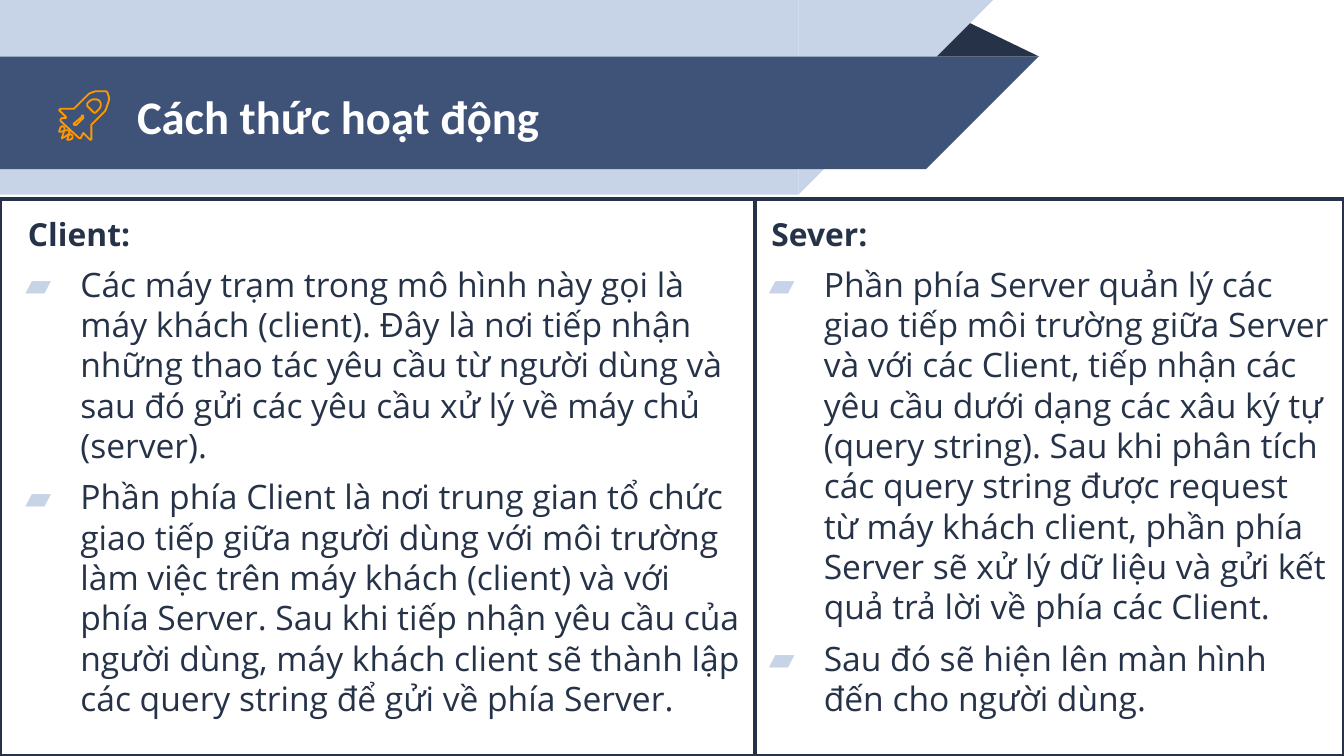
from dataclasses import dataclass

from lxml.etree import SubElement
from pptx import Presentation
from pptx.dml.color import RGBColor
from pptx.enum.shapes import MSO_SHAPE as Preset
from pptx.enum.text import MSO_ANCHOR as Anchor, MSO_AUTO_SIZE as AutoSize, PP_ALIGN as Align
from pptx.oxml.ns import qn
from pptx.shapes.autoshape import Shape
from pptx.slide import Slide
from pptx.util import Cm, Pt


@dataclass(frozen=True)
class Theme:
    navy: str = "263248"
    blue: str = "3F5378"
    pale: str = "C7D3E6"
    orange: str = "FF9800"
    white: str = "FFFFFF"
    title_font: str = "Calibri"
    body_font: str = "Open Sans"
    title_size: float = 25
    heading_size: float = 17
    body_size: float = 18
    leading: float = 21.6
    gap: float = 6
    border: float = 2
    icon_line: float = 1


@dataclass(frozen=True)
class Ribbon:
    top: float
    width: float
    height: float
    color: str


@dataclass(frozen=True)
class Panel:
    left: float
    width: float
    heading: str
    points: tuple[str, ...]


@dataclass(frozen=True)
class Outline:
    contours: tuple[tuple[tuple[int, int], ...], ...]
    dx: int = 0
    dy: int = 0


THEME = Theme()
SLIDE_WIDTH, SLIDE_HEIGHT = 25.4, 14.29
PANEL_TOP = 3.76
ICON_UNIT = Cm(0.0254)
FRAME = {
    "margin_left": Cm(0.25), "margin_right": Cm(0.25),
    "margin_top": Cm(0.25), "margin_bottom": Cm(0.25),
    "word_wrap": True, "auto_size": AutoSize.NONE,
}

RIBBONS = (
    Ribbon(0, 15.09, 3.68, THEME.pale),
    Ribbon(1.07, 17.5, 2.13, THEME.blue),
)

PANELS = (
    Panel(14.05, 11.35, "Sever:", (
        "Phần phía Server quản lý các giao tiếp môi trường giữa Server và với các Client, "
        "tiếp nhận các yêu cầu dưới dạng các xâu ký tự (query string). Sau khi phân tích các "
        "query string được request từ máy khách client, phần phía Server sẽ xử lý dữ liệu và "
        "gửi kết quả trả lời về phía các Client.",
        "Sau đó sẽ hiện lên màn hình đến cho người dùng.",
    )),
    Panel(0, 14.27, "Client:", (
        "Các máy trạm trong mô hình này gọi là máy khách (client). Đây là nơi tiếp nhận những "
        "thao tác yêu cầu từ người dùng và sau đó gửi các yêu cầu xử lý về máy chủ (server).",
        "Phần phía Client là nơi trung gian tổ chức giao tiếp giữa người dùng với môi trường "
        "làm việc trên máy khách (client) và với phía Server. Sau khi tiếp nhận yêu cầu của "
        "người dùng, máy khách client sẽ thành lập các query string để gửi về phía Server.",
    )),
)

HULL = (
    (68, 104), (68, 93), (78, 83), (79, 81), (80, 78), (81, 75), (81, 72), (80, 69),
    (79, 68), (75, 68), (71, 68), (68, 69), (66, 70), (55, 81), (45, 81), (44, 82),
    (49, 87), (49, 88), (46, 88), (45, 89), (45, 90), (59, 103), (60, 103), (62, 99),
    (67, 104),
)
FIN = ((57, 93), (56, 93), (55, 93), (55, 92), (61, 87), (61, 86), (62, 86), (62, 88))
WINDOW = (
    (72, 83), (71, 84), (70, 84), (69, 83), (65, 79), (65, 77), (67, 75), (69, 74),
    (72, 74), (74, 75), (75, 77), (75, 79), (74, 81),
)
MAIN_FLAME = ((51, 97), (49, 97), (48, 97), (47, 100), (46, 103), (48, 102), (51, 100), (52, 98))
SIDE_FLAME = ((54, 101), (53, 100), (52, 100), (51, 101), (50, 104), (52, 104), (54, 103))
ROCKET = (
    Outline((HULL, FIN, WINDOW)),
    Outline((MAIN_FLAME,)),
    Outline((SIDE_FLAME,)),
    Outline((SIDE_FLAME,), -6, -6),
)


def rgb(color: str) -> RGBColor:
    return RGBColor.from_string(color)


def apply_format(target: object, values: dict) -> None:
    for attribute, value in values.items():
        setattr(target, attribute, value)


def add_block(slide: Slide, preset: Preset, left: float, top: float,
              width: float, height: float, color: str) -> Shape:
    block = slide.shapes.add_shape(preset, Cm(left), Cm(top), Cm(width), Cm(height))
    block.shadow.inherit = False
    block.fill.solid()
    block.fill.fore_color.rgb = rgb(color)
    block.line.fill.background()
    return block


def add_ribbon(slide: Slide, ribbon: Ribbon) -> None:
    add_block(slide, Preset.RECTANGLE, 0, ribbon.top, ribbon.width, ribbon.height, ribbon.color)
    tip = add_block(slide, Preset.RIGHT_TRIANGLE, ribbon.width, ribbon.top,
                    ribbon.height, ribbon.height, ribbon.color)
    tip.rotation = 90


def add_title(slide: Slide, wording: str) -> None:
    title = slide.shapes.title
    apply_format(title, {"left": Cm(2.34), "top": Cm(1.12), "width": Cm(14.6), "height": Cm(2.13)})
    apply_format(title.text_frame, FRAME | {"vertical_anchor": Anchor.MIDDLE})
    paragraph = title.text_frame.paragraphs[0]
    paragraph.alignment = Align.LEFT
    run = paragraph.add_run()
    run.text = wording
    apply_format(run.font, {"name": THEME.title_font, "size": Pt(THEME.title_size), "bold": True})
    run.font.color.rgb = rgb(THEME.white)
    slide.shapes._spTree.append(title._element)


def set_indent(paragraph, left: float, hanging: float) -> None:
    properties = paragraph._p.get_or_add_pPr()
    properties.set("marL", str(Cm(left)))
    properties.set("indent", str(-Cm(hanging)))


def add_bullet(paragraph) -> None:
    properties = paragraph._p.get_or_add_pPr()
    bullet_color = SubElement(properties, qn("a:buClr"))
    SubElement(bullet_color, qn("a:srgbClr"), val=THEME.pale)
    SubElement(properties, qn("a:buFont"), typeface=THEME.body_font)
    SubElement(properties, qn("a:buChar"), char="▰")


def add_panel(slide: Slide, panel: Panel) -> None:
    box = add_block(slide, Preset.RECTANGLE, panel.left, PANEL_TOP, panel.width,
                    SLIDE_HEIGHT - PANEL_TOP, THEME.white)
    box.line.color.rgb = rgb(THEME.navy)
    box.line.width = Pt(THEME.border)
    frame = box.text_frame
    apply_format(frame, FRAME | {"vertical_anchor": Anchor.TOP})
    for index, wording in enumerate((panel.heading, *panel.points)):
        is_heading = index == 0
        paragraph = frame.paragraphs[0] if is_heading else frame.add_paragraph()
        apply_format(paragraph, {
            "alignment": Align.LEFT,
            "line_spacing": Pt(THEME.leading),
            "space_before": Pt(0 if is_heading else THEME.gap),
        })
        if is_heading:
            set_indent(paragraph, 0.28, 0)
        else:
            set_indent(paragraph, 1.27, 1.04)
            add_bullet(paragraph)
        run = paragraph.add_run()
        run.text = wording
        apply_format(run.font, {
            "name": THEME.body_font,
            "size": Pt(THEME.heading_size if is_heading else THEME.body_size),
            "bold": is_heading,
        })
        run.font.color.rgb = rgb(THEME.navy)


def add_outline(slide: Slide, outline: Outline) -> None:
    contours = [[(x + outline.dx, y + outline.dy) for x, y in contour]
                for contour in outline.contours]
    builder = slide.shapes.build_freeform(*contours[0][0], scale=ICON_UNIT)
    for index, (start, *rest) in enumerate(contours):
        if index:
            builder.move_to(*start)
        builder.add_line_segments(rest, close=True)
    drawing = builder.convert_to_shape()
    drawing.shadow.inherit = False
    drawing.fill.background()
    drawing.line.color.rgb = rgb(THEME.orange)
    drawing.line.width = Pt(THEME.icon_line)


def main() -> None:
    deck = Presentation()
    apply_format(deck, {"slide_width": Cm(SLIDE_WIDTH), "slide_height": Cm(SLIDE_HEIGHT)})
    slide = deck.slides.add_slide(deck.slide_layouts.get_by_name("Title Only"))
    fold = add_block(slide, Preset.ISOSCELES_TRIANGLE, 17.48, 0.36, 2.16, 0.71, THEME.navy)
    fold.adjustments[0] = 0.32
    for ribbon in RIBBONS:
        add_ribbon(slide, ribbon)
    add_title(slide, "Cách thức hoạt động")
    for panel in PANELS:
        add_panel(slide, panel)
    for outline in ROCKET:
        add_outline(slide, outline)
    deck.save("out.pptx")


if __name__ == "__main__":
    main()
